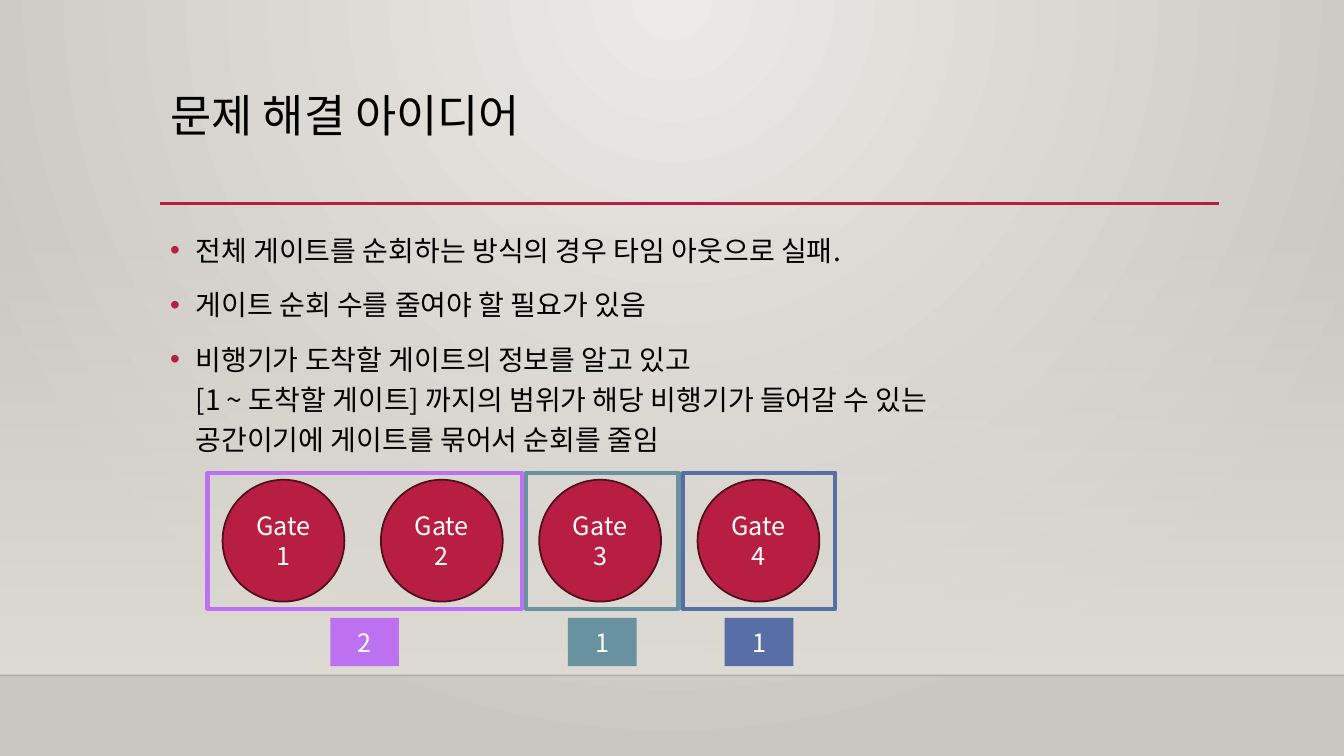
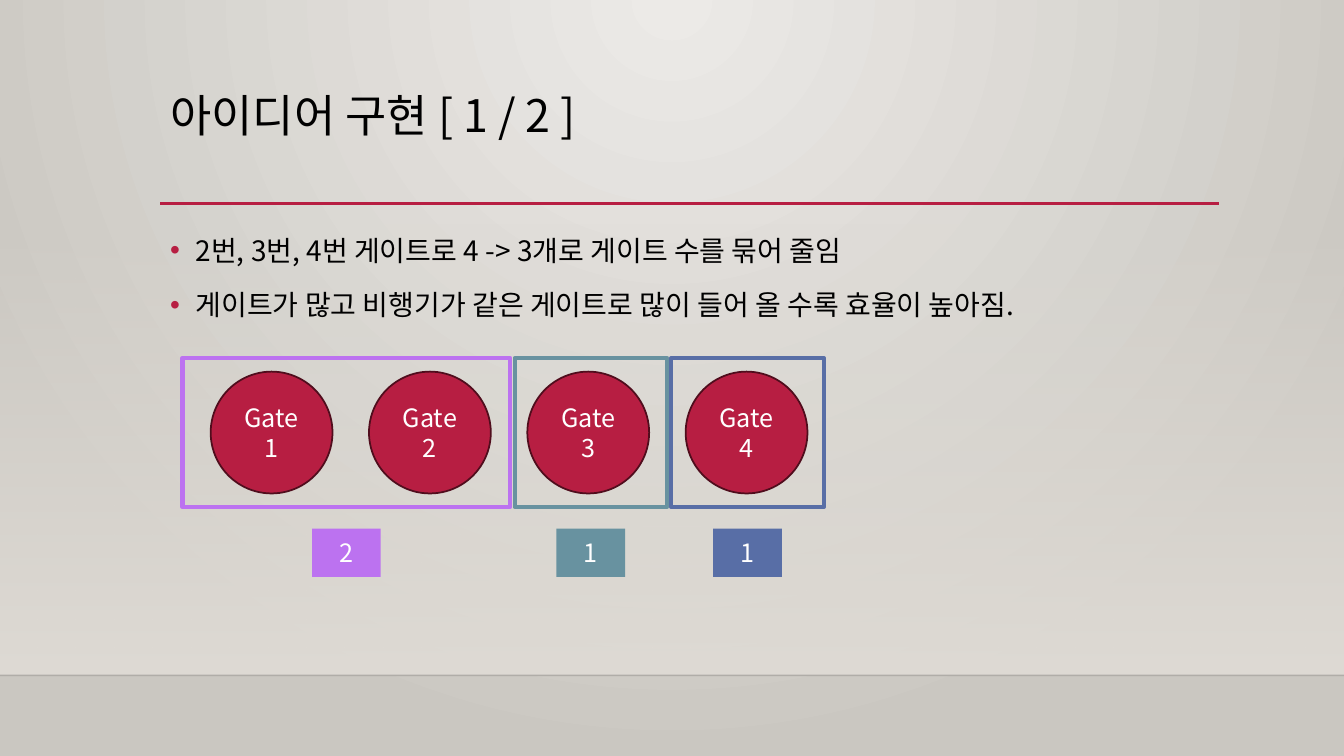
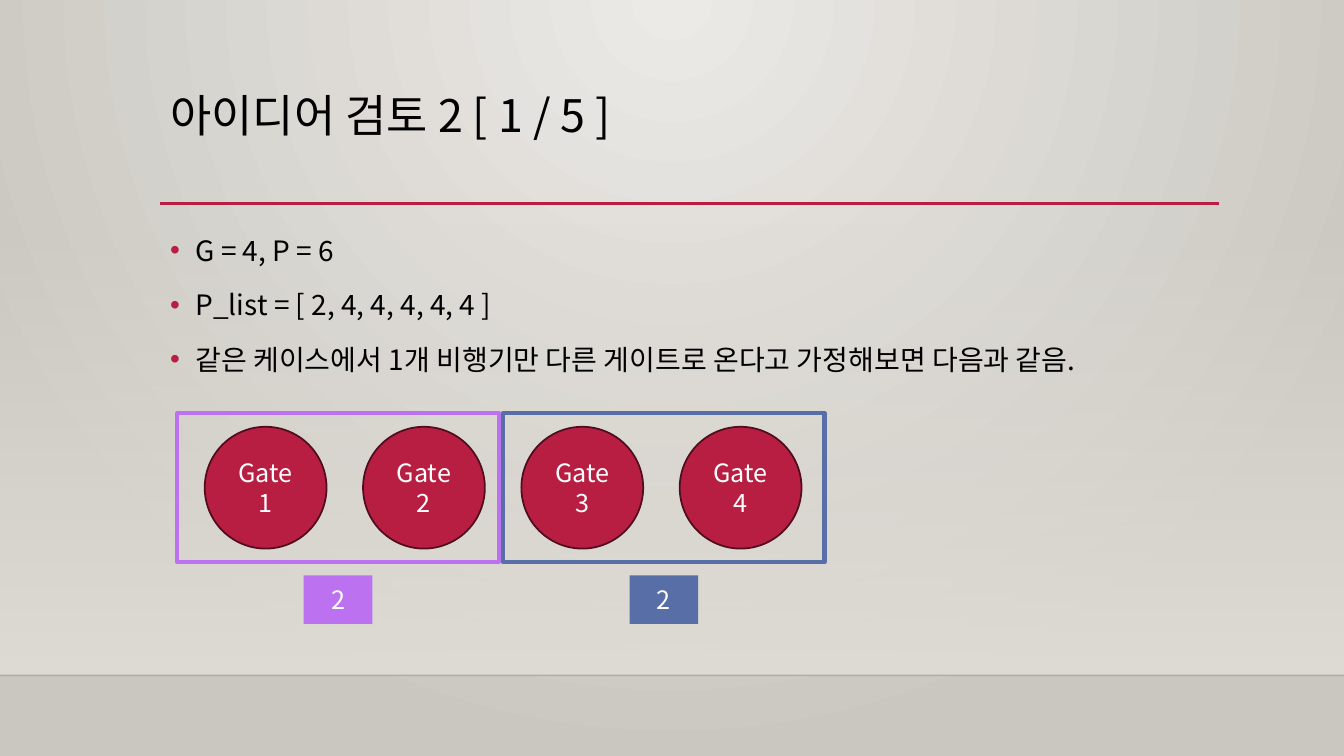
from lxml.etree import SubElement
from pptx import Presentation
from pptx.dml.color import RGBColor
from pptx.enum.shapes import MSO_CONNECTOR as Connector, MSO_SHAPE as Shape
from pptx.enum.text import MSO_ANCHOR as Anchor, MSO_AUTO_SIZE as AutoSize, PP_ALIGN as Align
from pptx.oxml import parse_xml
from pptx.oxml.ns import nsdecls, qn
from pptx.util import Cm, Pt

FONT = "Noto Sans CJK KR"
RED, DARK_RED, BLACK, WHITE = "B71E42", "500D1D", "000000", "FFFFFF"
PURPLE, TEAL, BLUE = "BC72F0", "6892A0", "586EA6"
SLIDE_WIDTH, SLIDE_HEIGHT = 33.87, 19.05
MARGIN, CONTENT_WIDTH = 4.04, 26.67
RULE_TOP, PANEL_TOP, FLOOR_TOP = 5.13, 5.61, 17.02
GATE_SIZE, GATE_PITCH = 3.07, 3.99
BOX_GAP, TAG_WIDTH, TAG_HEIGHT = 0.11, 1.73, 1.22

TITLE_FORMAT = {"alignment": Align.LEFT, "line_spacing": 0.9}
BODY_FORMAT = {"alignment": Align.LEFT, "line_spacing": 1.2, "space_before": Pt(10)}
LABEL_FORMAT = {"alignment": Align.CENTER}

SLIDES = [
    {
        "title": "문제 해결 아이디어",
        "bullets": [
            "전체 게이트를 순회하는 방식의 경우 타임 아웃으로 실패.",
            "게이트 순회 수를 줄여야 할 필요가 있음",
            "비행기가 도착할 게이트의 정보를 알고 있고\n"
            "[1 ~ 도착할 게이트] 까지의 범위가 해당 비행기가 들어갈 수 있는\n"
            "공간이기에 게이트를 묶어서 순회를 줄임",
        ],
        "diagram": {
            "left": 5.23, "top": 11.91, "height": 3.43, "inset": 0.38, "tag_gap": 0.23,
            "groups": [(2, 7.92, PURPLE), (1, 3.84, TEAL), (1, 3.84, BLUE)],
        },
    },
    {
        "title": "아이디어 구현 [ 1 / 2 ]",
        "bullets": [
            "2번, 3번, 4번 게이트로 4 -> 3개로 게이트 수를 묶어 줄임",
            "게이트가 많고 비행기가 같은 게이트로 많이 들어 올 수록 효율이 높아짐.",
        ],
        "diagram": {
            "left": 4.6, "top": 9.02, "height": 3.76, "inset": 0.71, "tag_gap": 0.54,
            "groups": [(2, 8.26, PURPLE), (1, 3.84, TEAL), (1, 3.84, BLUE)],
        },
    },
    {
        "title": "아이디어 검토 2 [ 1 / 5 ]",
        "bullets": [
            "G = 4, P = 6",
            "P_list = [ 2, 4, 4, 4, 4, 4 ]",
            "같은 케이스에서 1개 비행기만 다른 게이트로 온다고 가정해보면 다음과 같음.",
        ],
        "diagram": {
            "left": 4.47, "top": 10.41, "height": 3.76, "inset": 0.69, "tag_gap": 0.33,
            "groups": [(2, 8.1, PURPLE), (2, 8.1, BLUE)],
        },
    },
]


def color(value):
    return RGBColor.from_string(value)


def cm_box(*lengths):
    return [Cm(length) for length in lengths]


def apply_format(target, values):
    for name, value in values.items():
        setattr(target, name, value)


def write_paragraph(paragraph, text, size, text_color, values):
    paragraph.text = text
    apply_format(paragraph, values)
    for run in paragraph.runs:
        apply_format(run.font, {"size": Pt(size), "name": FONT, "bold": False})
        run.font.color.rgb = color(text_color)
        SubElement(run.font._element, qn("a:ea"), typeface=FONT)


def gradient(stops, direction):
    stop_xml = "".join(
        f'<a:gs pos="{position}"><a:srgbClr val="{value}"><a:alpha val="{alpha}"/></a:srgbClr></a:gs>'
        for position, value, alpha in stops
    )
    return parse_xml(
        f'<a:gradFill {nsdecls("a")} rotWithShape="1"><a:gsLst>{stop_xml}</a:gsLst>{direction}</a:gradFill>'
    )


def set_gradient(fill, stops, direction):
    fill.gradient()
    fill_element = fill._xPr.find(qn("a:gradFill"))
    fill._xPr.replace(fill_element, gradient(stops, direction))


def add_shape(shapes, kind, box, fill=None, line=None, line_width=1):
    shape = shapes.add_shape(kind, *cm_box(*box))
    shape.shadow.inherit = False
    if fill:
        shape.fill.solid()
        shape.fill.fore_color.rgb = color(fill)
    else:
        shape.fill.background()
    if line:
        shape.line.color.rgb = color(line)
        shape.line.width = Pt(line_width)
    else:
        shape.line.fill.background()
    return shape


def add_label(shape, text):
    frame = shape.text_frame
    apply_format(frame, {"word_wrap": True, "vertical_anchor": Anchor.MIDDLE})
    write_paragraph(frame.paragraphs[0], text, 18, WHITE, LABEL_FORMAT)


def add_rule(slide, left, top, width, line_color, line_width):
    rule = slide.shapes.add_connector(Connector.STRAIGHT, *cm_box(left, top, left + width, top))
    rule.line.color.rgb = color(line_color)
    rule.line.width = Pt(line_width)
    SubElement(rule._element.spPr, qn("a:effectLst"))
    return rule


def add_backdrop(slide):
    panel = add_shape(slide.shapes, Shape.RECTANGLE, (0, PANEL_TOP, SLIDE_WIDTH, FLOOR_TOP - PANEL_TOP))
    set_gradient(
        panel.fill,
        [(0, "DFDBD5", 0), (100000, "DFDBD5", 100000)],
        '<a:lin ang="5400000" scaled="0"/>',
    )
    floor = add_rule(slide, 0, FLOOR_TOP, SLIDE_WIDTH, BLACK, 1)
    floor_color = floor.line._ln.find(".//" + qn("a:srgbClr"))
    SubElement(floor_color, qn("a:alpha"), val="20000")
    add_rule(slide, MARGIN, RULE_TOP, CONTENT_WIDTH, RED, 2.5)


def place_title(slide, text, box):
    title = slide.shapes.title
    apply_format(title, dict(zip(("left", "top", "width", "height"), cm_box(*box))))
    frame = title.text_frame
    apply_format(frame, {"vertical_anchor": Anchor.TOP, "word_wrap": True, "auto_size": AutoSize.NONE})
    write_paragraph(frame.paragraphs[0], text, 32, BLACK, TITLE_FORMAT)


def add_bullets(slide, bullets, box):
    frame = slide.shapes.add_textbox(*cm_box(*box)).text_frame
    frame.word_wrap = True
    for index, text in enumerate(bullets):
        paragraph = frame.add_paragraph() if index else frame.paragraphs[0]
        write_paragraph(paragraph, text, 20, BLACK, BODY_FORMAT)
        properties = paragraph._p.get_or_add_pPr()
        properties.set("marL", str(Cm(0.64)))
        properties.set("indent", str(-Cm(0.64)))
        bullet_color = SubElement(properties, qn("a:buClr"))
        SubElement(bullet_color, qn("a:srgbClr"), val=RED)
        SubElement(properties, qn("a:buFont"), typeface="Arial")
        SubElement(properties, qn("a:buChar"), char="•")


def add_gate_diagram(slide, left, top, height, inset, tag_gap, groups):
    gates = slide.shapes.add_group_shape()
    gate_top = top + (height - GATE_SIZE) / 2
    for index in range(sum(count for count, _, _ in groups)):
        box = (left + inset + index * GATE_PITCH, gate_top, GATE_SIZE, GATE_SIZE)
        gate = add_shape(gates.shapes, Shape.OVAL, box, RED, DARK_RED, 1.25)
        add_label(gate, f"Gate{index + 1}")
    for count, width, group_color in groups:
        add_shape(slide.shapes, Shape.RECTANGLE, (left, top, width, height), line=group_color, line_width=3)
        tag_box = (left + (width - TAG_WIDTH) / 2, top + height + tag_gap, TAG_WIDTH, TAG_HEIGHT)
        add_label(add_shape(slide.shapes, Shape.RECTANGLE, tag_box, group_color), str(count))
        left += width + BOX_GAP


def add_gate_slide(presentation, title, bullets, diagram):
    slide = presentation.slides.add_slide(presentation.slide_layouts.get_by_name("Title Only"))
    add_backdrop(slide)
    place_title(slide, title, (MARGIN, 2.24, CONTENT_WIDTH, 2.92))
    add_bullets(slide, bullets, (MARGIN, 5.59, CONTENT_WIDTH, 9.58))
    add_gate_diagram(slide, **diagram)


def main():
    presentation = Presentation()
    presentation.slide_width, presentation.slide_height = cm_box(SLIDE_WIDTH, SLIDE_HEIGHT)
    set_gradient(
        presentation.slide_master.background.fill,
        [(0, "ECEAE7", 100000), (100000, "CAC7C1", 100000)],
        '<a:path path="circle"><a:fillToRect l="43000" r="43000" b="100000"/></a:path>',
    )
    for content in SLIDES:
        add_gate_slide(presentation, **content)
    presentation.save("out.pptx")


if __name__ == "__main__":
    main()
